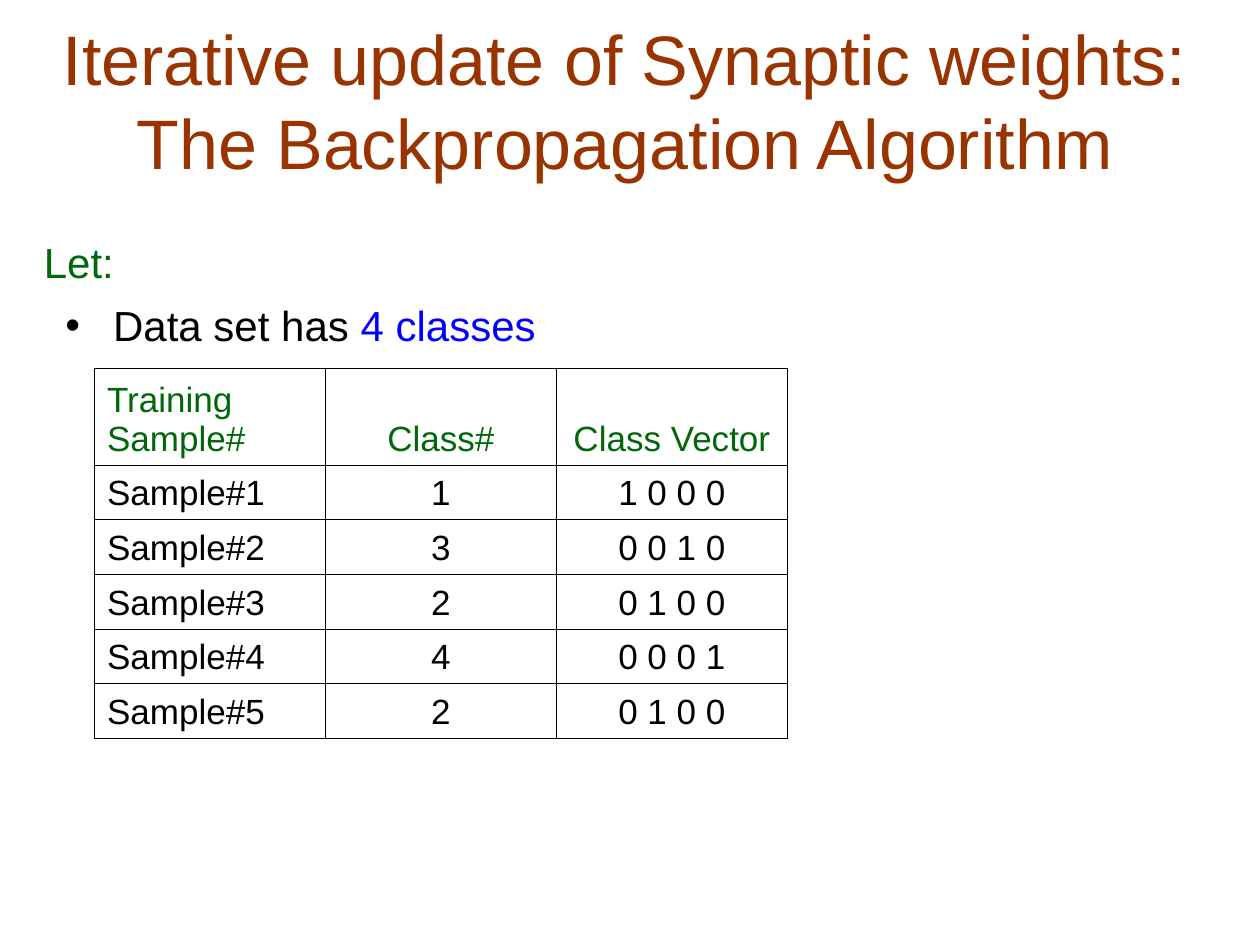
from lxml import etree
from pptx import Presentation
from pptx.dml.color import RGBColor
from pptx.enum.text import MSO_ANCHOR, PP_ALIGN
from pptx.oxml.ns import qn
from pptx.util import Inches, Pt

LEFT, CENTER, JUSTIFY = PP_ALIGN.LEFT, PP_ALIGN.CENTER, PP_ALIGN.JUSTIFY
TOP, MIDDLE, BOTTOM = MSO_ANCHOR.TOP, MSO_ANCHOR.MIDDLE, MSO_ANCHOR.BOTTOM

FONT = "Arial"
BROWN, GREEN, BLUE, BLACK = "993300", "01670B", "0000FF", "000000"

HEADERS = ["Training Sample#", "Class#", "Class Vector"]
SAMPLE_CLASSES = [1, 3, 2, 4, 2]
CLASS_COUNT = 4


def color(hex_code):
    return RGBColor.from_string(hex_code)


def add_run(para, text, size, hex_code):
    span = para.add_run()
    span.text = text
    span.font.name = FONT
    span.font.size = Pt(size)
    span.font.color.rgb = color(hex_code)


def add_text(page, left, top, width, height, runs, size, align=LEFT, anchor=TOP):
    """Add a one-paragraph box from (text, colour) runs and return the paragraph."""
    box = page.shapes.add_textbox(Inches(left), Inches(top), Inches(width), Inches(height))
    frame = box.text_frame
    frame.word_wrap = True
    frame.vertical_anchor = anchor
    para = frame.paragraphs[0]
    para.alignment = align
    for text, hex_code in runs:
        add_run(para, text, size, hex_code)
    return para


def add_bullet(para, indent, hex_code):
    props = para._p.get_or_add_pPr()
    props.set("marL", str(Inches(indent)))
    props.set("indent", str(-Inches(indent)))
    bullet_color = etree.SubElement(props, qn("a:buClr"))
    etree.SubElement(bullet_color, qn("a:srgbClr"), val=hex_code)
    etree.SubElement(props, qn("a:buFont"), typeface=FONT)
    etree.SubElement(props, qn("a:buChar"), char="•")


def set_borders(cell, width, hex_code):
    props = cell._tc.get_or_add_tcPr()
    for position, side in enumerate(("lnL", "lnR", "lnT", "lnB")):
        line = etree.Element(qn(f"a:{side}"), w=str(Pt(width)))
        fill = etree.SubElement(line, qn("a:solidFill"))
        etree.SubElement(fill, qn("a:srgbClr"), val=hex_code)
        props.insert(position, line)


def fill_cell(cell, text, hex_code, align):
    cell.fill.background()
    set_borders(cell, 0.45, BLACK)
    cell.vertical_anchor = BOTTOM
    cell.margin_left = cell.margin_right = Inches(0.1)
    cell.margin_top = cell.margin_bottom = Inches(0.05)
    para = cell.text_frame.paragraphs[0]
    para.alignment = align
    add_run(para, text, 20, hex_code)


def class_vector(number):
    return " ".join("1" if n == number else "0" for n in range(1, CLASS_COUNT + 1))


def add_sample_table(page):
    rows = [HEADERS] + [
        [f"Sample#{index}", str(number), class_vector(number)]
        for index, number in enumerate(SAMPLE_CLASSES, 1)
    ]
    table = page.shapes.add_table(
        len(rows), len(HEADERS), Inches(0.75), Inches(2.92), Inches(5.5), Inches(2.93)
    ).table
    table.first_row = table.horz_banding = False
    for row_index, texts in enumerate(rows):
        table.rows[row_index].height = Inches(0.43 if row_index else 0.77)
        for column, text in enumerate(texts):
            fill_cell(table.cell(row_index, column), text,
                      BLACK if row_index else GREEN, CENTER if column else LEFT)


def main():
    deck = Presentation()
    deck.slide_width, deck.slide_height = Inches(10), Inches(7.5)
    page = deck.slides.add_slide(deck.slide_layouts[6])
    title = "Iterative update of Synaptic weights: The Backpropagation Algorithm"
    add_text(page, 0.08, 0.25, 9.75, 1.08, [(title, BROWN)], 40, CENTER, MIDDLE)
    statement = add_text(page, 0.42, 2.33, 4, 0.58,
                         [("Data set has ", BLACK), ("4 classes", BLUE)], 24, JUSTIFY)
    add_bullet(statement, 0.38, BLACK)
    add_text(page, 0.25, 1.83, 3.33, 0.5, [("Let:", GREEN)], 24)
    add_sample_table(page)
    deck.save("out.pptx")


if __name__ == "__main__":
    main()
